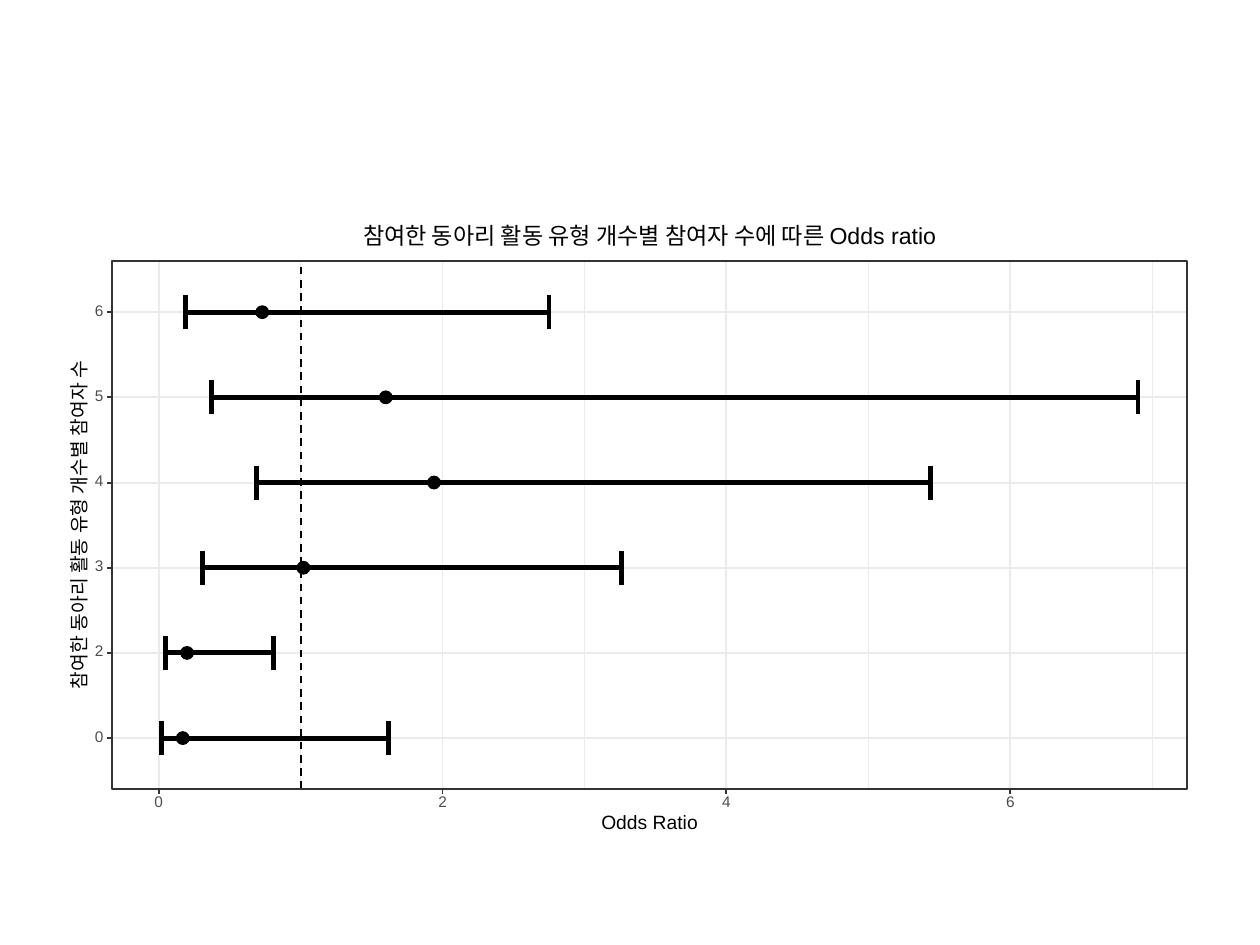
from dataclasses import dataclass

from lxml import etree
from pptx import Presentation
from pptx import util as u
from pptx.dml.color import RGBColor
from pptx.enum import dml, shapes, text
from pptx.oxml.ns import qn

WHITE = RGBColor(0xFF, 0xFF, 0xFF)
BLACK = RGBColor(0, 0, 0)
GRID = RGBColor(0xEB, 0xEB, 0xEB)
FRAME = RGBColor(0x33, 0x33, 0x33)
TICK_LABEL = RGBColor(0x4D, 0x4D, 0x4D)

LEFT, TOP, RIGHT, BOTTOM = 64.1, 149.1, 678.3, 450.9
CENTER_X = (LEFT + RIGHT) / 2
CENTER_Y = (TOP + BOTTOM) / 2
ZERO_X, UNIT = 90.7, 81.1
FIRST_ROW, ROW_STEP = 421.8, 48.68
CAP = ROW_STEP * 0.2
DOT = 7.2
TICK = 2.75
THIN, NORMAL, THICK = 0.53, 1.07, 2.77


@dataclass(frozen=True)
class Estimate:
    label: str
    low: float
    ratio: float
    high: float


ESTIMATES = [
    Estimate("0", 0.02, 0.17, 1.62),
    Estimate("2", 0.05, 0.2, 0.81),
    Estimate("3", 0.31, 1.02, 3.26),
    Estimate("4", 0.69, 1.94, 5.44),
    Estimate("5", 0.37, 1.6, 6.9),
    Estimate("6", 0.19, 0.73, 2.75),
]
MAJOR_TICKS = (0, 2, 4, 6)
MINOR_TICKS = (1, 3, 5, 7)

presentation = Presentation()
presentation.slide_width = u.Pt(720)
presentation.slide_height = u.Pt(540)
slide = presentation.slides.add_slide(presentation.slide_layouts[6])
plot = slide.shapes.add_group_shape().shapes


def value_x(value: float) -> float:
    return ZERO_X + UNIT * value


def row_y(row: int) -> float:
    return FIRST_ROW - ROW_STEP * row


def add_line(x1: float, y1: float, x2: float, y2: float,
             color: RGBColor, width: float, dashed: bool = False) -> None:
    line = plot.add_connector(shapes.MSO_CONNECTOR.STRAIGHT,
                              u.Pt(x1), u.Pt(y1), u.Pt(x2), u.Pt(y2))
    line.line.color.rgb = color
    line.line.width = u.Pt(width)
    if dashed:
        line.line.dash_style = dml.MSO_LINE.DASH
    etree.SubElement(line._element.spPr, qn("a:effectLst"))


def add_box(kind: shapes.MSO_SHAPE, left: float, top: float, width: float, height: float,
            fill: RGBColor | None, outline: RGBColor | None, line_width: float = NORMAL) -> None:
    shape = plot.add_shape(kind, u.Pt(left), u.Pt(top), u.Pt(width), u.Pt(height))
    shape.shadow.inherit = False
    if fill is None:
        shape.fill.background()
    else:
        shape.fill.solid()
        shape.fill.fore_color.rgb = fill
    if outline is None:
        shape.line.fill.background()
    else:
        shape.line.color.rgb = outline
        shape.line.width = u.Pt(line_width)


def add_label(content: str, center_x: float, center_y: float, width: float, height: float,
              size: float, color: RGBColor = BLACK, rotation: float = 0) -> None:
    box = plot.add_textbox(u.Pt(center_x - width / 2), u.Pt(center_y - height / 2),
                           u.Pt(width), u.Pt(height))
    box.rotation = rotation
    frame = box.text_frame
    frame.margin_left = frame.margin_right = frame.margin_top = frame.margin_bottom = 0
    frame.word_wrap = False
    frame.vertical_anchor = text.MSO_ANCHOR.MIDDLE
    frame.text = content
    paragraph = frame.paragraphs[0]
    paragraph.alignment = text.PP_ALIGN.CENTER
    paragraph.line_spacing = u.Pt(size)
    font = paragraph.runs[0].font
    font.name = "Arial"
    font.size = u.Pt(size)
    font.color.rgb = color


def add_interval(row: int, estimate: Estimate) -> None:
    y = row_y(row)
    low, high = value_x(estimate.low), value_x(estimate.high)
    add_line(low, y, high, y, BLACK, THICK)
    for end in (low, high):
        add_line(end, y - CAP, end, y + CAP, BLACK, THICK)


RECTANGLE = shapes.MSO_SHAPE.RECTANGLE
PANEL = (LEFT, TOP, RIGHT - LEFT, BOTTOM - TOP)

add_box(RECTANGLE, 36, 126, 648, 356.4, WHITE, WHITE)
add_box(RECTANGLE, *PANEL, WHITE, None)

for value in MINOR_TICKS:
    add_line(value_x(value), BOTTOM, value_x(value), TOP, GRID, THIN)
for row in range(len(ESTIMATES)):
    add_line(LEFT, row_y(row), RIGHT, row_y(row), GRID, NORMAL)
for value in MAJOR_TICKS:
    add_line(value_x(value), BOTTOM, value_x(value), TOP, GRID, NORMAL)

for row, estimate in enumerate(ESTIMATES):
    add_box(shapes.MSO_SHAPE.OVAL, value_x(estimate.ratio) - DOT / 2, row_y(row) - DOT / 2,
            DOT, DOT, BLACK, BLACK, 0.71)
for row, estimate in enumerate(ESTIMATES):
    add_interval(row, estimate)
add_line(value_x(1), BOTTOM, value_x(1), TOP, BLACK, NORMAL, dashed=True)
add_box(RECTANGLE, *PANEL, None, FRAME)

for row, estimate in enumerate(ESTIMATES):
    add_label(estimate.label, 56.7, row_y(row) - 0.3, 4.9, 6.3, 8.8, TICK_LABEL)
    add_line(LEFT - TICK, row_y(row), LEFT, row_y(row), FRAME, NORMAL)
for value in MAJOR_TICKS:
    add_line(value_x(value), BOTTOM + TICK, value_x(value), BOTTOM, FRAME, NORMAL)
    add_label(str(value), value_x(value), 459, 4.9, 6.3, 8.8, TICK_LABEL)

add_label("Odds Ratio", CENTER_X, 470.6, 70, 8, 11)
add_label("참여한 동아리 활동 유형 개수별 참여자 수", 46.1, CENTER_Y, 220, 7.4, 11, rotation=270)
add_label("참여한 동아리 활동 유형 개수별 참여자 수에 따른 Odds ratio", CENTER_X, 136, 360, 9.8, 13.2)

presentation.save("out.pptx")
